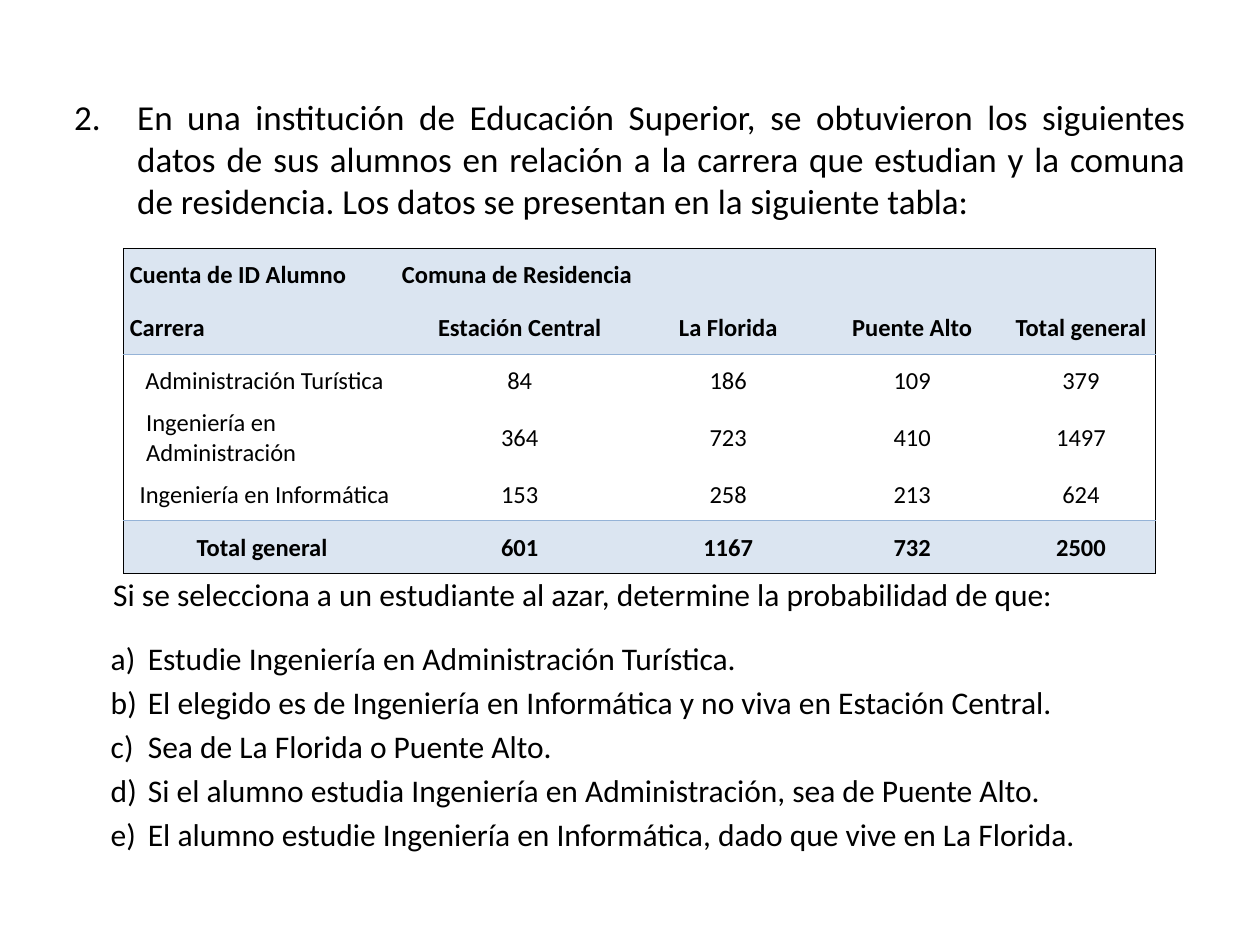
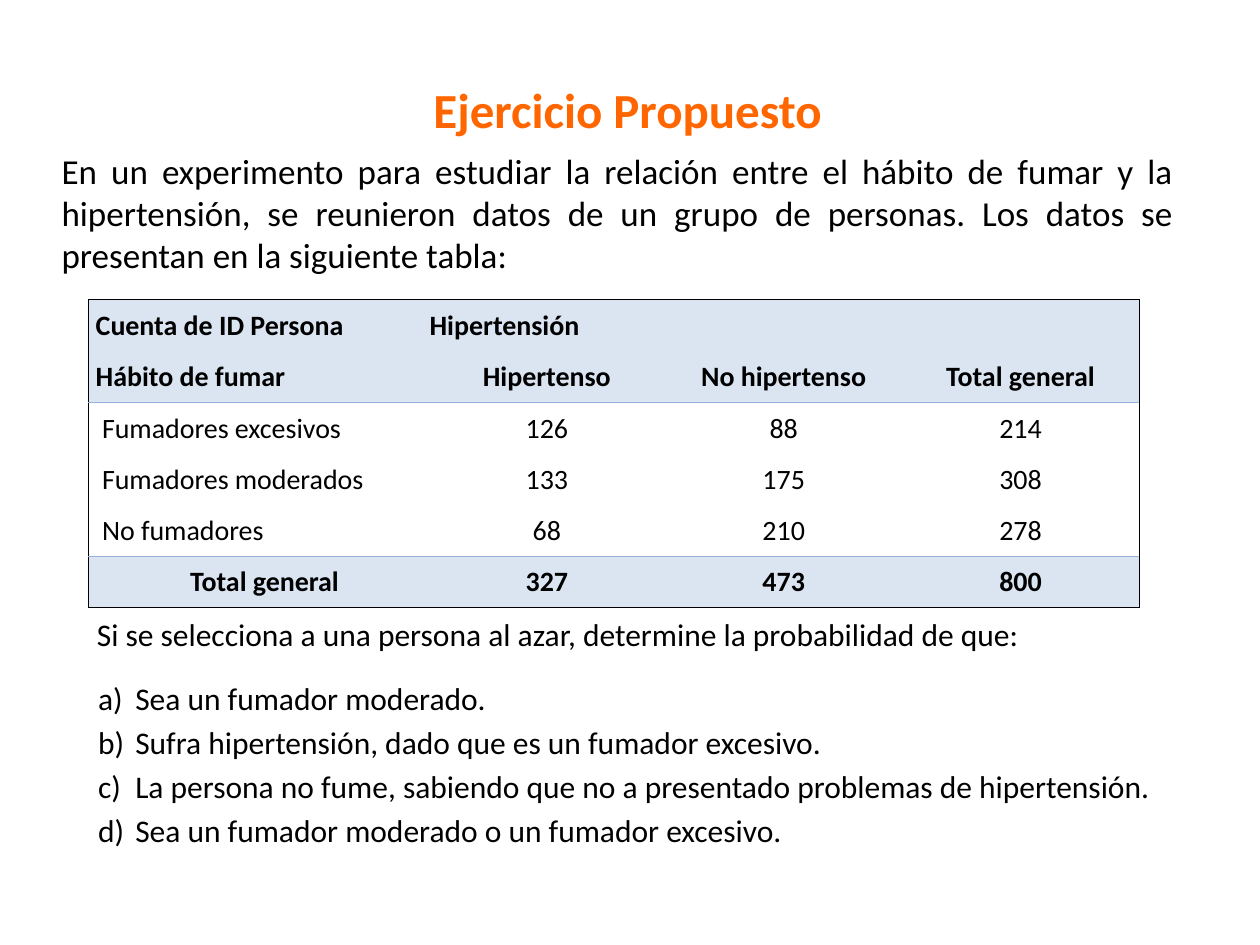
from dataclasses import dataclass

from lxml import etree
from pptx import Presentation, util as u
from pptx.dml.color import RGBColor
from pptx.enum import shapes, text
from pptx.oxml import ns

LEFT, CENTER, JUSTIFY = (text.PP_ALIGN.LEFT, text.PP_ALIGN.CENTER,
                         text.PP_ALIGN.JUSTIFY)


@dataclass(frozen=True)
class Theme:
    """Colours, type sizes (points) and spacing shared by the slides."""
    font: str = "Calibri"
    ink: str = "000000"
    paper: str = "FFFFFF"
    accent: str = "FF6600"
    band: str = "DBE5F1"
    rule: str = "95B3D7"
    rule_width: float = 0.5
    title: int = 28
    intro: int = 20
    question: int = 18
    item_gap: float = 3.6
    list_gap: float = 14.8


THEME = Theme()
GRID_COLUMNS = 1000  # square grid: 1000 columns by 750 rows
SLIDE_WIDTH, SLIDE_HEIGHT = u.Inches(10), u.Inches(7.5)
UNIT = SLIDE_WIDTH // GRID_COLUMNS

# Boxes are (left, top, width, height) in grid units. A row label is
# (text, alignment, left inset); "table_gap" is the room in points for the table.
EXERCISES = [
    {
        "title": None,
        "box": (49, 71, 902, 654),
        "number": 2,
        "intro": "En una institución de Educación Superior, se obtuvieron los "
                 "siguientes datos de sus alumnos en relación a la carrera que "
                 "estudian y la comuna de residencia. Los datos se presentan en "
                 "la siguiente tabla:",
        "table_gap": 202,
        "prompt": "Si se selecciona a un estudiante al azar, determine la "
                  "probabilidad de que:",
        "prompt_indent": 31,
        "questions": [
            "Estudie Ingeniería en Administración Turística.",
            "El elegido es de Ingeniería en Informática y no viva en Estación "
            "Central.",
            "Sea de La Florida o Puente Alto.",
            "Si el alumno estudia Ingeniería en Administración, sea de Puente "
            "Alto.",
            "El alumno estudie Ingeniería en Informática, dado que vive en La "
            "Florida.",
        ],
        "table": {
            "origin": (98, 197),
            "columns": (220, 189, 142, 150, 118),
            "row": 42,
            "size": 14,
            "labels": [("Cuenta de ID Alumno", LEFT, 5),
                       ("Carrera", LEFT, 5),
                       ("Administración Turística", CENTER, 5),
                       ("Ingeniería en\nAdministración", JUSTIFY, 18),
                       ("Ingeniería en Informática", CENTER, 5),
                       ("Total general", CENTER, 1)],
            "values": [["Comuna de Residencia", "", "", ""],
                       ["Estación Central", "La Florida", "Puente Alto",
                        "Total general"],
                       [84, 186, 109, 379],
                       [364, 723, 410, 1497],
                       [153, 258, 213, 624],
                       [601, 1167, 732, 2500]],
        },
    },
    {
        "title": "Ejercicio Propuesto",
        "title_box": (229, 58, 538, 57),
        "box": (39, 114, 902, 598),
        "number": None,
        "intro": "En un experimento para estudiar la relación entre el hábito de "
                 "fumar y la hipertensión, se reunieron datos de un grupo de "
                 "personas. Los datos se presentan en la siguiente tabla:",
        "table_gap": 194,
        "prompt": "Si se selecciona a una persona al azar, determine la "
                  "probabilidad de que:",
        "prompt_indent": 28,
        "questions": [
            "Sea un fumador moderado.",
            "Sufra hipertensión, dado que es un fumador excesivo.",
            "La persona no fume, sabiendo que no a presentado problemas de "
            "hipertensión.",
            "Sea un fumador moderado o un fumador excesivo.",
        ],
        "table": {
            "origin": (70, 238),
            "columns": (270, 188, 188, 188),
            "row": 40.7,
            "size": 16,
            "labels": [("Cuenta de ID Persona", LEFT, 6),
                       ("Hábito de fumar", LEFT, 6),
                       ("Fumadores excesivos", JUSTIFY, 11),
                       ("Fumadores moderados", JUSTIFY, 11),
                       ("No fumadores", JUSTIFY, 11),
                       ("Total general", CENTER, 11)],
            "values": [["Hipertensión", "", ""],
                       ["Hipertenso", "No hipertenso", "Total general"],
                       [126, 88, 214],
                       [133, 175, 308],
                       [68, 210, 278],
                       [327, 473, 800]],
        },
    },
]


def grid(*lengths):
    """Turn grid units into slide lengths."""
    return [u.Emu(round(length * UNIT)) for length in lengths]


def write(para, words, *, size, color=THEME.ink, bold=False, align=JUSTIFY,
          before=0, indent=0, hanging=0, numbering=None, start=None):
    """Fill one paragraph with formatted, optionally numbered, text."""
    para.alignment = align
    para.space_before = u.Pt(before)
    props = para._p.get_or_add_pPr()
    margin, first = grid(indent, -hanging)
    props.set("marL", str(margin))
    props.set("indent", str(first))
    if numbering:
        bullet = etree.SubElement(props, ns.qn("a:buAutoNum"), type=numbering)
        if start:
            bullet.set("startAt", str(start))
    span = para.add_run()
    span.text = words
    span.font.name = THEME.font
    span.font.size = u.Pt(size)
    span.font.bold = bold
    span.font.color.rgb = RGBColor.from_string(color)


def add_title(page, words, place):
    """Add the centred slide title."""
    frame = page.shapes.add_textbox(*grid(*place)).text_frame
    frame.word_wrap = True
    write(frame.paragraphs[0], words, size=THEME.title, color=THEME.accent,
          bold=True, align=CENTER)


def add_body(page, exercise):
    """Add the statement, leaving room for the table, and the questions."""
    box = page.shapes.add_shape(shapes.MSO_SHAPE.RECTANGLE,
                                *grid(*exercise["box"]))
    box.shadow.inherit = False
    box.fill.solid()
    box.fill.fore_color.rgb = RGBColor.from_string(THEME.paper)
    box.line.fill.background()
    frame = box.text_frame
    frame.word_wrap = True
    frame.vertical_anchor = text.MSO_ANCHOR.TOP

    numbered = {}
    if exercise["number"]:
        numbered = dict(indent=50, hanging=50, numbering="arabicPeriod",
                        start=exercise["number"])
    write(frame.paragraphs[0], exercise["intro"], size=THEME.intro, **numbered)
    write(frame.add_paragraph(), exercise["prompt"], size=THEME.question,
          before=exercise["table_gap"], indent=exercise["prompt_indent"])
    for index, question in enumerate(exercise["questions"]):
        write(frame.add_paragraph(), question, size=THEME.question,
              before=THEME.item_gap if index else THEME.list_gap,
              indent=58.5, hanging=29.5, numbering="alphaLcParenR")


def set_borders(cell, **colors):
    """Draw the given sides (L, R, T, B) of a cell and clear the others."""
    props = cell._tc.get_or_add_tcPr()
    for side in "LRTB":
        line = etree.SubElement(props, ns.qn("a:ln" + side),
                                w=str(u.Pt(THEME.rule_width)))
        color = colors.get(side)
        if color:
            fill = etree.SubElement(line, ns.qn("a:solidFill"))
            etree.SubElement(fill, ns.qn("a:srgbClr"), val=color)
        else:
            etree.SubElement(line, ns.qn("a:noFill"))


def border_colors(row, column, last_row, last_column):
    """Black frame, with a blue rule under the header and above the total."""
    colors = {}
    if column == 0:
        colors["L"] = THEME.ink
    if column == last_column:
        colors["R"] = THEME.ink
    if row in (0, 2, last_row):
        colors["T"] = THEME.ink if row == 0 else THEME.rule
    if row in (1, last_row - 1, last_row):
        colors["B"] = THEME.ink if row == last_row else THEME.rule
    return colors


def add_data_table(page, data):
    """Add a table with two header rows and a total row."""
    labels, values, widths = data["labels"], data["values"], data["columns"]
    size = sum(widths), data["row"] * len(labels)
    table = page.shapes.add_table(len(labels), len(widths),
                                  *grid(*data["origin"], *size)).table
    table.first_row = table.horz_banding = False
    for column, width in zip(table.columns, grid(*widths)):
        column.width = width
    last_row, last_column = len(labels) - 1, len(widths) - 1

    for r, (label, numbers) in enumerate(zip(labels, values)):
        table.rows[r].height = grid(data["row"])[0]
        banded = r < 2 or r == last_row
        value_align = CENTER if r else LEFT
        entries = [label] + [(str(n), value_align, 1) for n in numbers]
        for c, (words, align, inset) in enumerate(entries):
            cell = table.cell(r, c)
            cell.vertical_anchor = text.MSO_ANCHOR.MIDDLE
            (cell.margin_left, cell.margin_right,
             cell.margin_top, cell.margin_bottom) = grid(inset, 1, 1, 0)
            set_borders(cell, **border_colors(r, c, last_row, last_column))
            if banded:
                cell.fill.solid()
                cell.fill.fore_color.rgb = RGBColor.from_string(THEME.band)
            else:
                cell.fill.background()
            frame = cell.text_frame
            for index, line in enumerate(words.split("\n")):
                para = frame.add_paragraph() if index else frame.paragraphs[0]
                write(para, line, size=data["size"], bold=banded, align=align)


def main():
    """Build one slide for each exercise."""
    deck = Presentation()
    deck.slide_width, deck.slide_height = SLIDE_WIDTH, SLIDE_HEIGHT
    for exercise in EXERCISES:
        page = deck.slides.add_slide(deck.slide_layouts[6])
        if exercise["title"]:
            add_title(page, exercise["title"], exercise["title_box"])
        add_body(page, exercise)
        add_data_table(page, exercise["table"])
    deck.save("out.pptx")


main()
